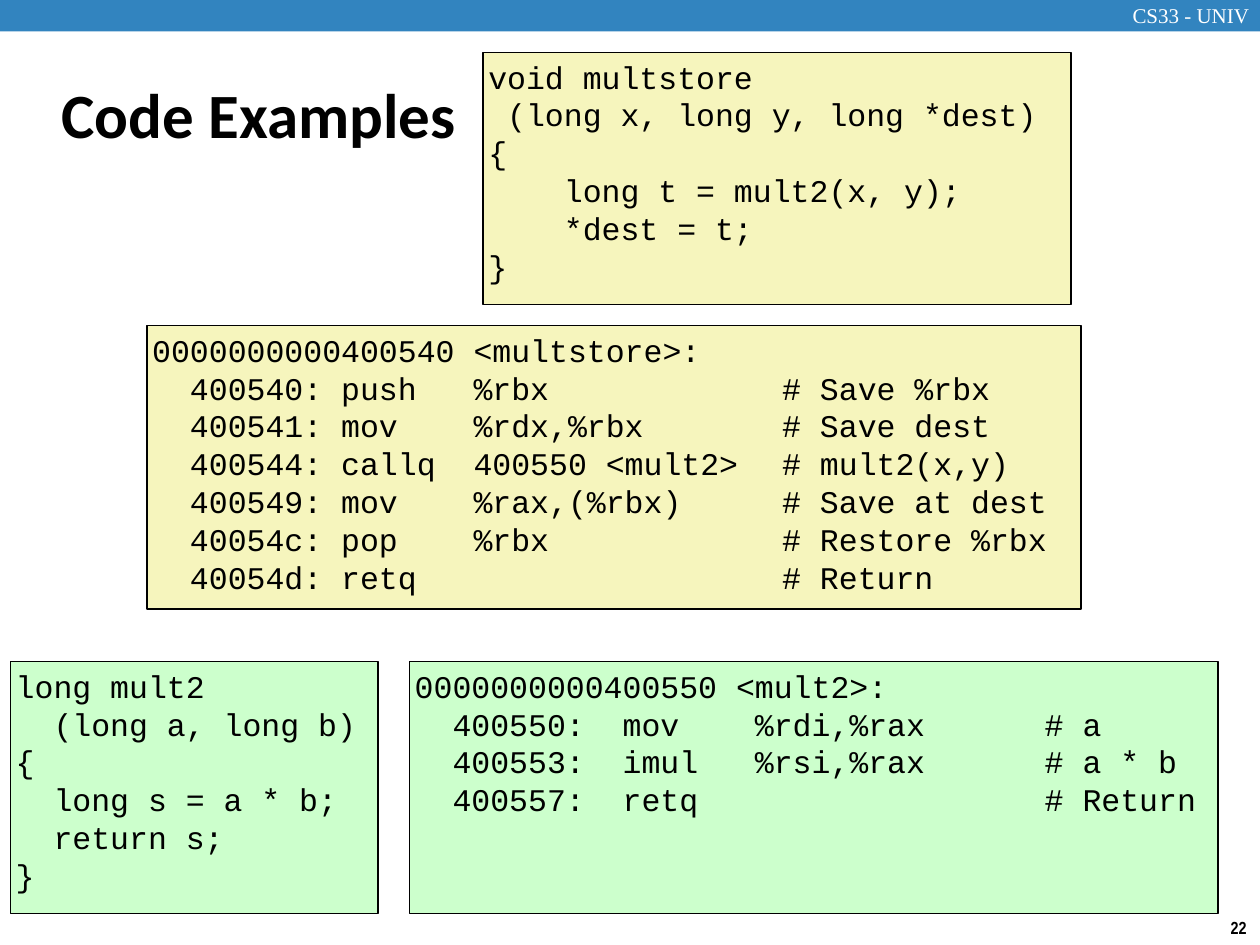
from pptx import Presentation
from pptx.dml.color import RGBColor as RGB
from pptx.enum.shapes import MSO_SHAPE as Preset
from pptx.enum.text import MSO_ANCHOR as Anchor, MSO_AUTO_SIZE as AutoSize, PP_ALIGN as Align
from pptx.oxml.xmlchemy import OxmlElement
from pptx.util import Pt

COLORS = {
    "banner": "3284BF",
    "caller": "F6F5BD",
    "callee": "CCFFCC",
    "ink": "000000",
    "white": "FFFFFF",
}
COMMENT_STOP = 360

MULTSTORE_C = """void multstore
 (long x, long y, long *dest) {
    long t = mult2(x, y);
    *dest = t;
}"""

MULTSTORE_ASM = """0000000000400540 <multstore>:
  400540: push   %rbx\t# Save %rbx
  400541: mov    %rdx,%rbx\t# Save dest
  400544: callq  400550 <mult2>\t# mult2(x,y)
  400549: mov    %rax,(%rbx)\t# Save at dest
  40054c: pop    %rbx\t# Restore %rbx
  40054d: retq\t# Return"""

MULT2_C = """long mult2
  (long a, long b)
{
  long s = a * b;
  return s;
}"""

MULT2_ASM = """0000000000400550 <mult2>:
  400550:  mov    %rdi,%rax\t# a
  400553:  imul   %rsi,%rax\t# a * b
  400557:  retq\t# Return"""


class CodeSlide:
    def __init__(self, deck):
        self.slide = deck.slides.add_slide(deck.slide_layouts[5])
        self.shapes = self.slide.shapes

    def color(self, name):
        return RGB.from_string(COLORS[name])

    def words(self, paragraph, wording, font, size, color="ink", bold=False):
        run = paragraph.add_run()
        run.text = wording
        run.font.name = font
        run.font.size = Pt(size)
        run.font.bold = bold
        run.font.color.rgb = self.color(color)

    def title(self, wording, left, top, width, height):
        heading = self.shapes.title
        heading.left, heading.top = Pt(left), Pt(top)
        heading.width, heading.height = Pt(width), Pt(height)
        frame = heading.text_frame
        frame.auto_size = AutoSize.NONE
        frame.vertical_anchor = Anchor.MIDDLE
        line = frame.paragraphs[0]
        line.alignment = Align.LEFT
        indents = line._p.get_or_add_pPr()
        indents.set("marL", str(Pt(9.5)))
        indents.set("indent", str(-Pt(9.5)))
        self.words(line, wording, "Calibri", 36, bold=True)

    def panel(self, fill, left, top, width, height, outlined=True):
        box = self.shapes.add_shape(
            Preset.RECTANGLE, Pt(left), Pt(top), Pt(width), Pt(height))
        box.shadow.inherit = False
        box.fill.solid()
        box.fill.fore_color.rgb = self.color(fill)
        if outlined:
            box.line.color.rgb = self.color("ink")
            box.line.width = Pt(1)
        else:
            box.line.fill.background()
        return box

    def code(self, listing, fill, left, top, width, height):
        frame = self.panel(fill, left, top, width, height).text_frame
        frame.word_wrap = True
        frame.vertical_anchor = Anchor.TOP
        frame.margin_left = frame.margin_right = Pt(3)
        frame.margin_top = frame.margin_bottom = Pt(3)
        for number, wording in enumerate(listing.split("\n")):
            line = frame.add_paragraph() if number else frame.paragraphs[0]
            line.alignment = Align.LEFT
            if "\t" in wording:
                self.tab_stop(line, COMMENT_STOP)
            self.words(line, wording, "Courier New", 18)

    def tab_stop(self, line, position):
        stops = OxmlElement("a:tabLst")
        stop = OxmlElement("a:tab")
        stop.set("pos", str(Pt(position)))
        stop.set("algn", "l")
        stops.append(stop)
        line._p.get_or_add_pPr().append(stops)

    def label(self, wording, left, top, width, height, font, size, color="ink", bold=False, wrap=True):
        frame = self.shapes.add_textbox(
            Pt(left), Pt(top), Pt(width), Pt(height)).text_frame
        frame.word_wrap = wrap
        frame.auto_size = AutoSize.SHAPE_TO_FIT_TEXT
        line = frame.paragraphs[0]
        line.alignment = Align.CENTER
        self.words(line, wording, font, size, color, bold)


def main():
    deck = Presentation()
    deck.slide_width, deck.slide_height = Pt(720), Pt(540)
    page = CodeSlide(deck)

    page.title("Code Examples", 28, 35, 598, 60)
    page.panel("banner", 0, 0, 720, 18, outlined=False)
    page.label("CS33 - UNIV", 636, -2, 89, 22, "Times New Roman", 12, "white")
    page.label("22", 695.5, 520.5, 24.5, 19.5, "Arial Narrow", 10, bold=True, wrap=False)

    page.code(MULT2_C, "callee", 6, 378, 210, 144)
    page.code(MULTSTORE_C, "caller", 276, 30, 336, 144)
    page.code(MULT2_ASM, "callee", 234, 378, 462, 144)
    page.code(MULTSTORE_ASM, "caller", 84, 186, 534, 162)

    deck.save("out.pptx")


if __name__ == "__main__":
    main()
